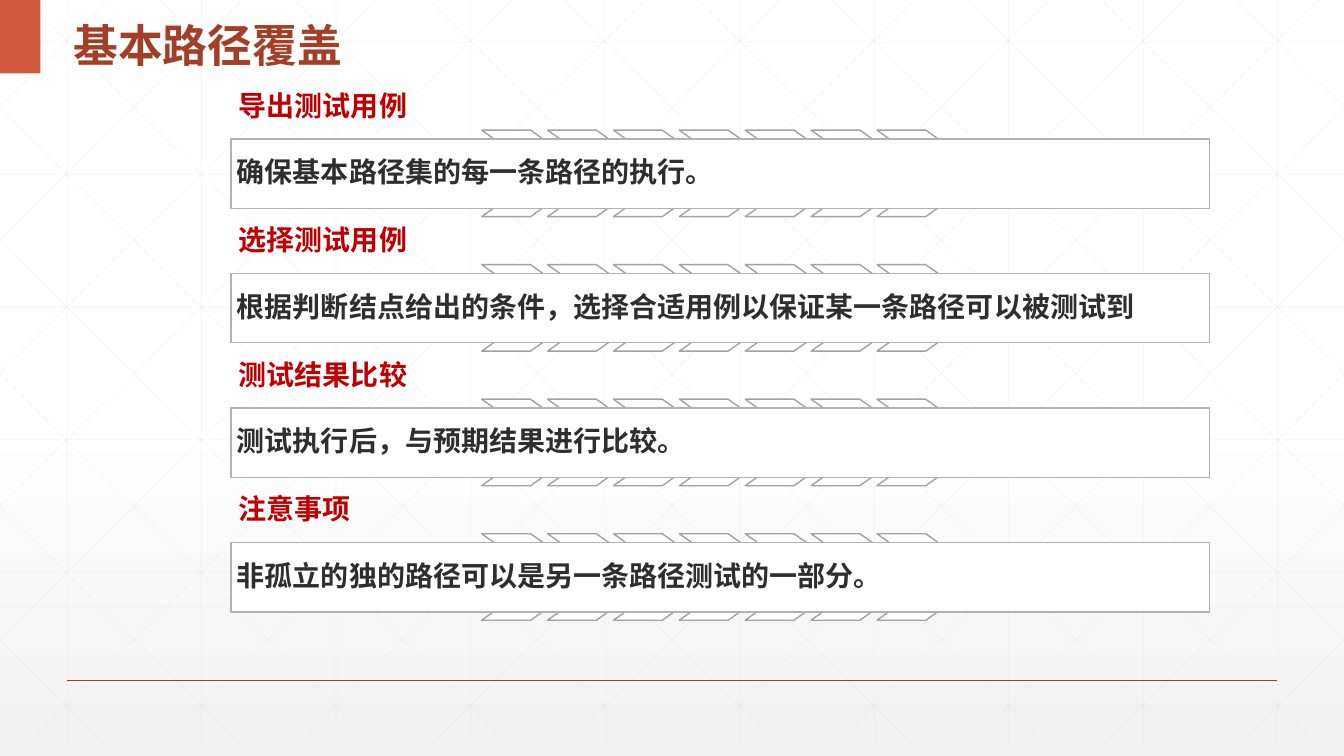
from dataclasses import dataclass

import lxml.etree
import pptx
import pptx.dml.color
import pptx.enum.shapes
import pptx.enum.text
import pptx.oxml.ns
import pptx.shapes.autoshape
import pptx.shapes.base
import pptx.shapes.connector
import pptx.slide
import pptx.text.text
import pptx.util

Cm = pptx.util.Cm
Pt = pptx.util.Pt
qn = pptx.oxml.ns.qn
Anchor = pptx.enum.text.MSO_ANCHOR
ShapeType = pptx.enum.shapes.MSO_SHAPE


@dataclass(frozen=True)
class Theme:
    font: str = "Noto Sans CJK SC"
    title_size: int = 32
    text_size: int = 20
    title: str = "A43F27"
    tab: str = "D15A3E"
    heading: str = "C00000"
    body: str = "2D2E2D"
    white: str = "FFFFFF"
    background_end: str = "F2F2F2"
    grid: str = "D9D9D9"
    chevron_line: str = "A2A2A2"
    box_line: str = "B2B2B2"


@dataclass(frozen=True)
class Area:
    """A rectangle in centimetres."""
    left: float
    top: float
    width: float
    height: float

    def moved(self, right: float = 0, down: float = 0) -> "Area":
        return Area(self.left + right, self.top + down, self.width, self.height)

    def lengths(self) -> tuple[int, int, int, int]:
        return Cm(self.left), Cm(self.top), Cm(self.width), Cm(self.height)


@dataclass(frozen=True)
class TextStyle:
    size: int
    color: str
    anchor: Anchor
    line_spacing: float
    inset_x: float
    inset_y: float


@dataclass(frozen=True)
class Step:
    heading: str
    body: str


THEME = Theme()
SLIDE_WIDTH, SLIDE_HEIGHT = 33.87, 19.05

GRID_BOTTOM = 18.72
COLUMN_LEFT, COLUMN_PITCH, COLUMN_COUNT = 1.69, 3.39, 10
ROW_TOP, ROW_PITCH, ROW_COUNT = 1.06, 3.34, 6
DIAGONAL_LEFT, DIAGONAL_RUN = 0.64, 18.93
DIAGONALS = range(-5, 10)

TITLE_STYLE = TextStyle(THEME.title_size, THEME.title, Anchor.MIDDLE, 1.3, 0.25, 0.13)
HEADING_STYLE = TextStyle(THEME.text_size, THEME.heading, Anchor.BOTTOM, 0.9, 0.2, 0.2)
BODY_STYLE = TextStyle(THEME.text_size, THEME.body, Anchor.MIDDLE, 0.9, 0.15, 0.15)

STEP_PITCH = 3.39
HEADING_AREA = Area(5.82, 2.21, 11.84, 1.07)
BOX_AREA = Area(5.82, 3.5, 24.66, 1.75)
CHEVRON_AREA = Area(12.14, 3.28, 2.77, 2.18)
CHEVRON_PITCH, CHEVRON_COUNT, CHEVRON_POINT = 1.66, 7, 0.706

STEPS = [
    Step("导出测试用例", "确保基本路径集的每一条路径的执行。"),
    Step("选择测试用例", "根据判断结点给出的条件，选择合适用例以保证某一条路径可以被测试到"),
    Step("测试结果比较", "测试执行后，与预期结果进行比较。"),
    Step("注意事项", "非孤立的独的路径可以是另一条路径测试的一部分。"),
]


def rgb(color: str) -> pptx.dml.color.RGBColor:
    return pptx.dml.color.RGBColor.from_string(color)


def paint_background(slide: pptx.slide.Slide) -> None:
    fill = slide.background.fill
    fill.gradient()
    fill.gradient_angle = 270
    colors = ((0.53, THEME.white), (1, THEME.background_end))
    for stop, (position, color) in zip(fill.gradient_stops, colors):
        stop.position = position
        stop.color.rgb = rgb(color)


def add_line(slide: pptx.slide.Slide, start: tuple[float, float], end: tuple[float, float],
             color: str, width: float) -> pptx.shapes.connector.Connector:
    connector = slide.shapes.add_connector(
        pptx.enum.shapes.MSO_CONNECTOR.STRAIGHT, *map(Cm, start + end))
    connector.line.color.rgb = rgb(color)
    connector.line.width = Pt(width)
    lxml.etree.SubElement(connector.element.find(qn("p:spPr")), qn("a:effectLst"))
    return connector


def add_grid_line(slide: pptx.slide.Slide, start: tuple[float, float],
                  end: tuple[float, float]) -> None:
    connector = add_line(slide, start, end, THEME.grid, 0.5)
    for color in connector.element.iter(qn("a:srgbClr")):
        lxml.etree.SubElement(color, qn("a:alpha"), val="25000")


def add_grid(slide: pptx.slide.Slide) -> None:
    for column in range(COLUMN_COUNT):
        x = COLUMN_LEFT + column * COLUMN_PITCH
        add_grid_line(slide, (x, 0), (x, GRID_BOTTOM))
    for row in range(ROW_COUNT):
        y = ROW_TOP + row * ROW_PITCH
        add_grid_line(slide, (0, y), (SLIDE_WIDTH, y))
    slope = GRID_BOTTOM / DIAGONAL_RUN
    for diagonal in DIAGONALS:
        origin = DIAGONAL_LEFT + diagonal * COLUMN_PITCH
        x1, x2 = max(0, origin), min(SLIDE_WIDTH, origin + DIAGONAL_RUN)
        y1, y2 = (x1 - origin) * slope, (x2 - origin) * slope
        add_grid_line(slide, (x1, y1), (x2, y2))
        add_grid_line(slide, (SLIDE_WIDTH - x1, y1), (SLIDE_WIDTH - x2, y2))


def add_panel(slide: pptx.slide.Slide, kind: ShapeType, area: Area, fill: str,
              line: str | None = None) -> pptx.shapes.autoshape.Shape:
    """Add a filled shape, outlined only if a line colour is given."""
    shape = slide.shapes.add_shape(kind, *area.lengths())
    shape.shadow.inherit = False
    shape.fill.solid()
    shape.fill.fore_color.rgb = rgb(fill)
    if line:
        shape.line.color.rgb = rgb(line)
        shape.line.width = Pt(1)
    else:
        shape.line.fill.background()
    return shape


def write_text(shape: pptx.shapes.autoshape.Shape, text: str, style: TextStyle) -> None:
    frame = shape.text_frame
    frame.word_wrap = True
    frame.vertical_anchor = style.anchor
    frame.margin_left = frame.margin_right = Cm(style.inset_x)
    frame.margin_top = frame.margin_bottom = Cm(style.inset_y)
    paragraph = frame.paragraphs[0]
    paragraph.text = text
    paragraph.alignment = pptx.enum.text.PP_ALIGN.LEFT
    paragraph.line_spacing = style.line_spacing
    paragraph.font.size = Pt(style.size)
    paragraph.font.bold = True
    paragraph.font.color.rgb = rgb(style.color)
    paragraph.font.name = THEME.font
    for properties in shape.element.iter(qn("a:defRPr")):
        lxml.etree.SubElement(properties, qn("a:ea"), typeface=THEME.font)


def add_label(slide: pptx.slide.Slide, area: Area, text: str, style: TextStyle) -> None:
    write_text(slide.shapes.add_textbox(*area.lengths()), text, style)


def add_step(slide: pptx.slide.Slide, step: Step, down: float) -> None:
    add_label(slide, HEADING_AREA.moved(down=down), step.heading, HEADING_STYLE)
    for index in range(CHEVRON_COUNT):
        area = CHEVRON_AREA.moved(index * CHEVRON_PITCH, down)
        chevron = add_panel(slide, ShapeType.CHEVRON, area, THEME.white, THEME.chevron_line)
        chevron.adjustments[0] = CHEVRON_POINT
    box = add_panel(slide, ShapeType.RECTANGLE, BOX_AREA.moved(down=down),
                    THEME.white, THEME.box_line)
    write_text(box, step.body, BODY_STYLE)


def main() -> None:
    presentation = pptx.Presentation()
    presentation.slide_width = Cm(SLIDE_WIDTH)
    presentation.slide_height = Cm(SLIDE_HEIGHT)
    slide = presentation.slides.add_slide(presentation.slide_layouts[6])
    paint_background(slide)
    add_grid(slide)
    add_line(slide, (1.69, 17.14), (32.18, 17.14), THEME.title, 1)
    add_panel(slide, ShapeType.RECTANGLE, Area(0, 0, 1.02, 1.85), THEME.tab)
    add_label(slide, Area(1.6, 0, 14.45, 1.85), "基本路径覆盖", TITLE_STYLE)
    for index, step in enumerate(STEPS):
        add_step(slide, step, index * STEP_PITCH)
    presentation.save("out.pptx")


if __name__ == "__main__":
    main()
